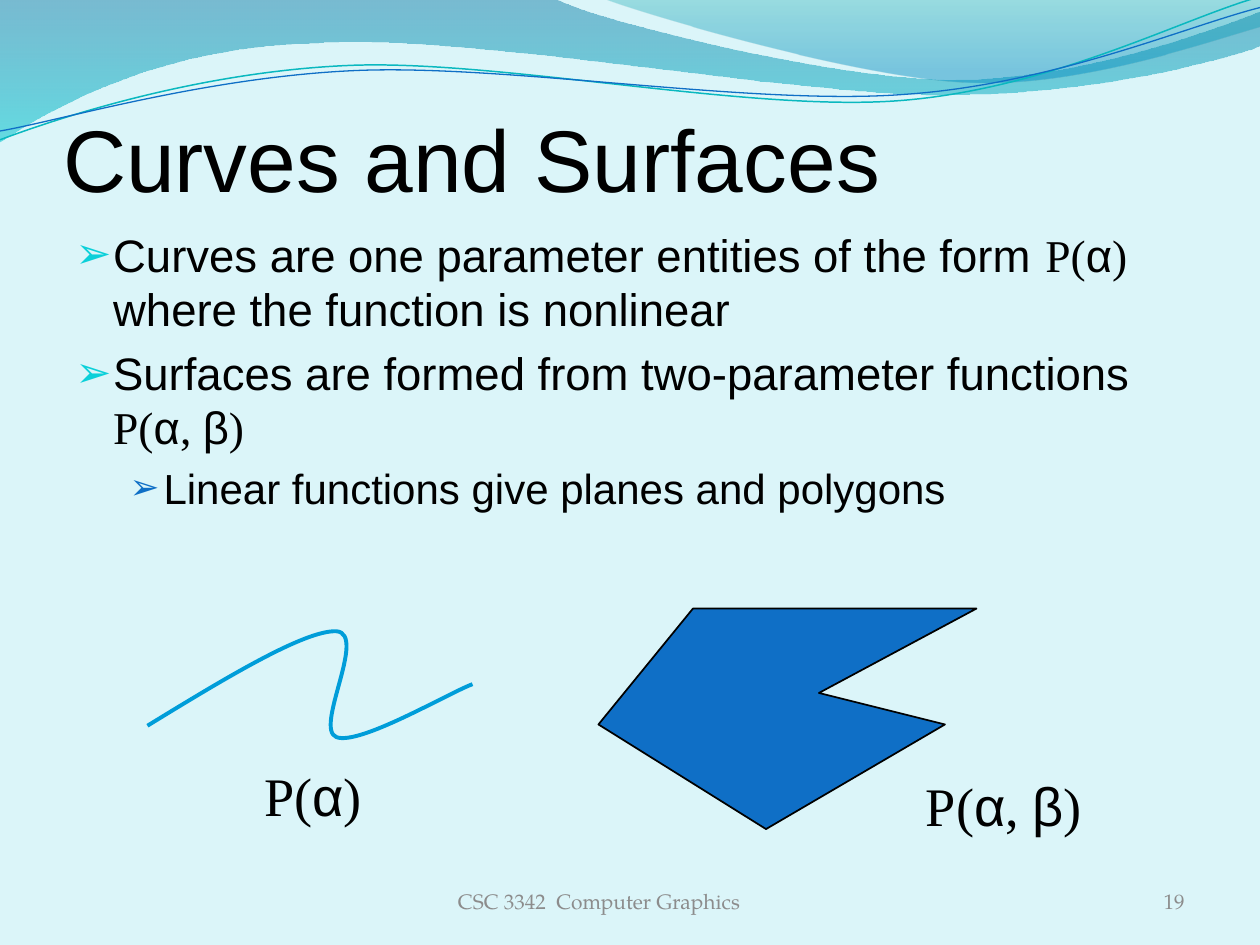
import dataclasses
import itertools
import typing

import pptx
import pptx.dml.color
import pptx.enum.text
import pptx.oxml
import pptx.oxml.ns
import pptx.util

ALIGN = pptx.enum.text.PP_ALIGN
ANCHOR = pptx.enum.text.MSO_ANCHOR
FIT = pptx.enum.text.MSO_AUTO_SIZE
SPACE = pptx.oxml.ns.nsdecls("a")
Spot = tuple[float, float]


@dataclasses.dataclass(frozen=True)
class Theme:
    back: str = "DBF5F9"
    ink: str = "000000"
    grey: str = "8C8C8C"
    blue: str = "0F6FC6"
    sky: str = "009DD9"
    teal: str = "0AB8BF"
    aqua: str = "0BD0D9"
    sans: str = "Arial"
    serif: str = "Times New Roman"
    foot: str = "TeX Gyre Pagella"
    head: float = 50
    main: float = 26
    sub: float = 24
    label: float = 31
    small: float = 12


LOOK = Theme()


class Run(typing.NamedTuple):
    text: str
    font: str = LOOK.sans


class Stop(typing.NamedTuple):
    place: int
    tint: str
    alpha: int


@dataclasses.dataclass(frozen=True)
class Curve:
    start: Spot
    bends: tuple[tuple[Spot, ...], ...]
    close: bool = False
    stops: tuple[Stop, ...] = ()
    fill: str = ""
    line: str = ""
    width: float = 0


@dataclasses.dataclass(frozen=True)
class Bullet:
    runs: list[Run]
    size: float
    level: int
    left: float
    hang: float
    tint: str
    scale: int


@dataclasses.dataclass(frozen=True)
class Label:
    box: tuple[float, float, float, float]
    runs: list[Run]
    size: float
    tint: str
    align: ALIGN = ALIGN.LEFT
    anchor: ANCHOR = ANCHOR.TOP
    wrap: bool = False


def span(inch: float) -> pptx.util.Cm:
    return pptx.util.Cm(inch * 2.54)


def rgb(tint: str) -> pptx.dml.color.RGBColor:
    return pptx.dml.color.RGBColor.from_string(tint)


def greek(text: str) -> list[Run]:
    parts = itertools.groupby(text, key=lambda sign: sign in "αβ")
    return [Run("".join(signs), LOOK.sans if hit else LOOK.serif) for hit, signs in parts]


def bow(shape, bends: tuple[tuple[Spot, ...], ...]) -> None:
    legs = iter(list(shape._element.spPr.iter(pptx.oxml.ns.qn("a:lnTo"))))
    for bend in bends:
        group = list(itertools.islice(legs, len(bend)))
        if len(group) == 3:
            arc = pptx.oxml.parse_xml(f"<a:cubicBezTo {SPACE}/>")
            group[0].addprevious(arc)
            for leg in group:
                arc.append(leg[0])
                leg.getparent().remove(leg)


def grade(shape, stops: tuple[Stop, ...]) -> None:
    marks = "".join(
        f'<a:gs pos="{s.place * 1000}"><a:srgbClr val="{s.tint}">'
        f'<a:alpha val="{s.alpha * 1000}"/></a:srgbClr></a:gs>' for s in stops)
    node = pptx.oxml.parse_xml(
        f'<a:gradFill {SPACE} rotWithShape="1"><a:gsLst>{marks}</a:gsLst>'
        '<a:lin ang="5400000" scaled="0"/></a:gradFill>')
    shape.fill.background()
    old = shape._element.spPr.find(pptx.oxml.ns.qn("a:noFill"))
    shape._element.spPr.replace(old, node)


def draw(shapes, curve: Curve) -> None:
    spots = [(span(x), span(y)) for x, y in itertools.chain(*curve.bends)]
    pen = shapes.build_freeform(*map(span, curve.start))
    pen.add_line_segments(spots, close=curve.close)
    shape = pen.convert_to_shape()
    bow(shape, curve.bends)
    shape.shadow.inherit = False
    if curve.stops:
        grade(shape, curve.stops)
    elif curve.fill:
        shape.fill.solid()
        shape.fill.fore_color.rgb = rgb(curve.fill)
    else:
        shape.fill.background()
    if curve.line:
        shape.line.color.rgb = rgb(curve.line)
        shape.line.width = pptx.util.Pt(curve.width)
    else:
        shape.line.fill.background()


def write(para, runs: list[Run], size: float, tint: str) -> None:
    for item in runs:
        run = para.add_run()
        run.text = item.text
        run.font.name = item.font
        run.font.size = pptx.util.Pt(size)
        run.font.color.rgb = rgb(tint)


def point(para, item: Bullet) -> None:
    para.level = item.level
    para.space_before = pptx.util.Pt(item.size * 0.2)
    props = para._p.get_or_add_pPr()
    props.set("marL", str(span(item.left)))
    props.set("indent", str(-span(item.hang)))
    for mark in (
        f'<a:buClr {SPACE}><a:srgbClr val="{item.tint}"/></a:buClr>',
        f'<a:buSzPct {SPACE} val="{item.scale * 1000}"/>',
        f'<a:buFont {SPACE} typeface="{LOOK.sans}"/>',
        f'<a:buChar {SPACE} char="➢"/>',
    ):
        props.append(pptx.oxml.parse_xml(mark))
    write(para, item.runs, item.size, LOOK.ink)


def note(shapes, label: Label) -> None:
    frame = shapes.add_textbox(*map(span, label.box)).text_frame
    frame.word_wrap = label.wrap
    frame.auto_size = FIT.NONE if label.wrap else FIT.SHAPE_TO_FIT_TEXT
    frame.vertical_anchor = label.anchor
    para = frame.paragraphs[0]
    para.alignment = label.align
    write(para, label.runs, label.size, label.tint)


WAVES = (
    Curve((0, 0), (
        ((4.4, -0.01),), ((4.76, 0.17), (6.64, 0.63), (7.58, 0.63)),
        ((8.53, 0.63), (9.58, 0.26), (10, 0.09)), ((10.01, 0.36),),
        ((9.83, 0.44), (8.7, 0.76), (7.46, 0.75)), ((6.22, 0.75), (3.82, 0.28), (2.57, 0.34)),
        ((1.29, 0.36), (0.46, 0.83), (-0.01, 1.13)), ((0, 0),)),
        True, (Stop(0, "0074A1", 45), Stop(100, "00C6CF", 55))),
    Curve((4.79, -0.01), (
        ((5.09, 0.11), (6.82, 0.62), (7.69, 0.65)), ((8.56, 0.69), (9.61, 0.32), (10, 0.21)),
        ((10, 0),), ((4.79, -0.01),)),
        True, (Stop(0, "00A1A9", 30), Stop(80, "008BBF", 45))),
    Curve((0, 1.11), (
        ((0.48, 0.93), (1.58, 0.57), (2.77, 0.52)), ((3.95, 0.47), (5.93, 0.89), (7.13, 0.8)),
        ((8.33, 0.71), (9.38, 0.15), (9.98, -0.02))), line=LOOK.teal, width=0.85),
    Curve((0, 1.04), (
        ((0.47, 0.96), (1.64, 0.61), (2.83, 0.56)), ((4.03, 0.51), (5.97, 0.84), (7.17, 0.75)),
        ((8.36, 0.67), (9.41, 0.21), (10, 0.06))), line=LOOK.blue, width=0.75),
)
FORMS = (
    Curve((1.17, 5.76), (
        ((1.79, 5.38), (2.42, 5), (2.67, 5.01)), ((2.92, 5.03), (2.49, 5.78), (2.67, 5.85)),
        ((2.85, 5.92), (3.56, 5.5), (3.75, 5.43))), line=LOOK.sky, width=2.25),
    Curve((4.75, 5.75), (
        ((5.5, 4.83),), ((7.75, 4.83),), ((6.5, 5.5),), ((7.5, 5.75),), ((6.08, 6.58),),
        ((4.75, 5.75),)), True, fill=LOOK.blue, line=LOOK.ink, width=1),
)
POINTS = (
    Bullet([Run("Curves are one parameter entities of the form "), *greek("P(α)"),
            Run(" where the function is nonlinear")], LOOK.main, 0, 0.3, 0.3, LOOK.aqua, 95),
    Bullet([Run("Surfaces are formed from two-parameter functions "), *greek("P(α, β)")],
           LOOK.main, 0, 0.3, 0.3, LOOK.aqua, 95),
    Bullet([Run("Linear functions give planes and polygons")],
           LOOK.sub, 1, 0.7, 0.27, LOOK.blue, 85),
)
LABELS = (
    Label((2, 6, 1, 0.62), greek("P(α)"), LOOK.label, LOOK.ink),
    Label((7.25, 6.08, 1.45, 0.62), greek("P(α, β)"), LOOK.label, LOOK.ink),
    Label((2.92, 6.95, 3.67, 0.4), [Run("CSC 3342  Computer Graphics", LOOK.foot)],
          LOOK.small, LOOK.grey, ALIGN.CENTER, ANCHOR.MIDDLE, True),
    Label((7.17, 6.95, 2.33, 0.4), [Run("19", LOOK.foot)],
          LOOK.small, LOOK.grey, ALIGN.RIGHT, ANCHOR.MIDDLE, True),
)


def main() -> None:
    deck = pptx.Presentation()
    deck.slide_width, deck.slide_height = span(10), span(7.5)
    slide = deck.slides.add_slide(deck.slide_layouts[5])
    slide.background.fill.solid()
    slide.background.fill.fore_color.rgb = rgb(LOOK.back)
    shapes = slide.shapes
    title = shapes.title
    title.left, title.top, title.width, title.height = map(span, (0.5, 0.42, 9, 1.25))
    frame = title.text_frame
    frame.margin_left = frame.margin_right = frame.margin_bottom = 0
    frame.margin_top = span(0.05)
    frame.vertical_anchor = ANCHOR.BOTTOM
    frame.auto_size = FIT.NONE
    frame.paragraphs[0].alignment = ALIGN.LEFT
    write(frame.paragraphs[0], [Run("Curves and Surfaces")], LOOK.head, LOOK.ink)
    for wave in WAVES:
        draw(shapes, wave)
    shapes._spTree.append(title._element)
    body = shapes.add_textbox(*map(span, (0.5, 1.75, 9, 4.97))).text_frame
    body.word_wrap = True
    for rank, item in enumerate(POINTS):
        point(body.add_paragraph() if rank else body.paragraphs[0], item)
    for form, label in zip(FORMS, LABELS):
        draw(shapes, form)
        note(shapes, label)
    for label in LABELS[len(FORMS):]:
        note(shapes, label)
    deck.save("out.pptx")


if __name__ == "__main__":
    main()
